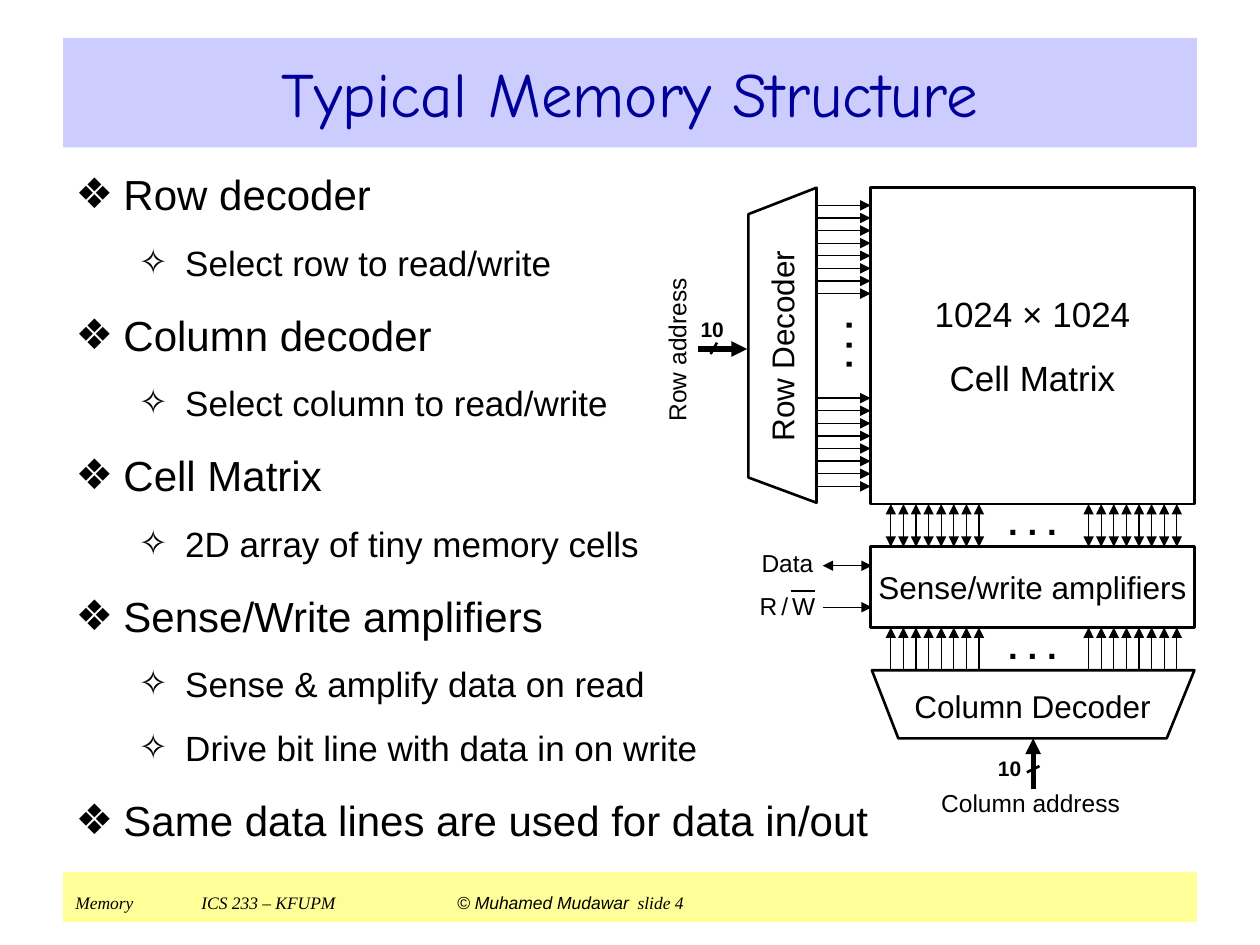
from lxml import etree
from pptx import Presentation
from pptx.dml.color import RGBColor
from pptx.enum.shapes import MSO_CONNECTOR, MSO_SHAPE
from pptx.enum.text import MSO_ANCHOR, MSO_AUTO_SIZE, PP_ALIGN
from pptx.oxml.ns import qn
from pptx.util import Inches, Pt

BLACK = RGBColor(0x00, 0x00, 0x00)
NAVY = RGBColor(0x00, 0x00, 0x99)
LAVENDER = RGBColor(0xCC, 0xCC, 0xFF)
YELLOW = RGBColor(0xFF, 0xFF, 0x99)

prs = Presentation()
prs.slide_width, prs.slide_height = Inches(10), Inches(7.5)
s = prs.slides.add_slide(prs.slide_layouts[1])


def add_line(x1, y1, x2, y2, width=0.75, head=False, tail=False):
    c = s.shapes.add_connector(MSO_CONNECTOR.STRAIGHT, Inches(x1), Inches(y1),
                               Inches(x2), Inches(y2))
    c.line.color.rgb = BLACK
    c.line.width = Pt(width)
    ln = c.line._get_or_add_ln()
    for tag, wanted in (("a:headEnd", head), ("a:tailEnd", tail)):
        if wanted:
            etree.SubElement(ln, qn(tag)).set("type", "triangle")
    etree.SubElement(c._element.spPr, qn("a:effectLst"))


def add_text(box, lines, size, bold=False, rotation=0, outlined=False,
             align=PP_ALIGN.CENTER):
    """Each line is a list of runs; returns the text frame."""
    place = [Inches(v) for v in box]
    if outlined:
        sp = s.shapes.add_shape(MSO_SHAPE.RECTANGLE, *place)
        sp.shadow.inherit = False
        sp.fill.background()
        sp.line.color.rgb = BLACK
        sp.line.width = Pt(1.5)
    else:
        sp = s.shapes.add_textbox(*place)
    sp.rotation = rotation
    tf = sp.text_frame
    tf.word_wrap = True
    tf.vertical_anchor = MSO_ANCHOR.MIDDLE
    tf.margin_left = tf.margin_right = tf.margin_top = tf.margin_bottom = 0
    for i, runs in enumerate(lines):
        p = tf.add_paragraph() if i else tf.paragraphs[0]
        p.alignment = align
        p.space_before = Pt(12.5 if i else 0)
        for text in runs:
            r = p.add_run()
            r.text = text
            r.font.name = "Arial"
            r.font.size = Pt(size)
            r.font.bold = bold
            r.font.color.rgb = BLACK
    return tf


# Title
title = s.shapes.title
title.left, title.top, title.width, title.height = map(Inches, (0.5, 0.3, 9, 0.87))
title.fill.solid()
title.fill.fore_color.rgb = LAVENDER
tf = title.text_frame
tf.auto_size = MSO_AUTO_SIZE.NONE
tf.vertical_anchor = MSO_ANCHOR.MIDDLE
p = tf.paragraphs[0]
p.alignment = PP_ALIGN.CENTER
r = p.add_run()
r.text = "Typical Memory Structure"
r.font.name = "Comic Neue"
r.font.size = Pt(36)
r.font.color.rgb = NAVY

# Bullet list
items = [
    (0, "Row decoder"),
    (1, "Select row to read/write"),
    (0, "Column decoder"),
    (1, "Select column to read/write"),
    (0, "Cell Matrix"),
    (1, "2D array of tiny memory cells"),
    (0, "Sense/Write amplifiers"),
    (1, "Sense & amplify data on read"),
    (1, "Drive bit line with data in on write"),
    (0, "Same data lines are used for data in/out"),
]
# Per level: bullet, left margin, hanging indent, text size, space before
levels = [("❖", 0.38, -0.38, 24, 15), ("✧", 0.87, -0.37, 20, 12.5)]
body = s.placeholders[1]
body.left, body.top, body.width, body.height = map(Inches, (0.5, 1.29, 7.7, 5.61))
tf = body.text_frame
tf.auto_size = MSO_AUTO_SIZE.NONE
for i, (level, text) in enumerate(items):
    bullet, margin, indent, size, space = levels[level]
    p = tf.add_paragraph() if i else tf.paragraphs[0]
    p.level = level
    pPr = p._p.get_or_add_pPr()
    pPr.set("marL", str(Inches(margin)))
    pPr.set("indent", str(Inches(indent)))
    clr = etree.SubElement(pPr, qn("a:buClr"))
    etree.SubElement(clr, qn("a:srgbClr")).set("val", str(BLACK))
    etree.SubElement(pPr, qn("a:buChar")).set("char", bullet)
    p.space_before = Pt(space if i else 0)
    r = p.add_run()
    r.text = text
    r.font.name = "Arial"
    r.font.size = Pt(size)
    r.font.color.rgb = BLACK

# Footer band
footer = s.shapes.add_shape(MSO_SHAPE.RECTANGLE, Inches(0.5), Inches(6.92),
                            Inches(9), Inches(0.4))
footer.shadow.inherit = False
footer.fill.solid()
footer.fill.fore_color.rgb = YELLOW
footer.line.fill.background()
tf = footer.text_frame
tf.word_wrap = True
tf.vertical_anchor = MSO_ANCHOR.TOP
p = tf.paragraphs[0]
p.alignment = PP_ALIGN.LEFT
tabs = etree.SubElement(p._p.get_or_add_pPr(), qn("a:tabLst"))
for pos in (1, 3.03):
    tab = etree.SubElement(tabs, qn("a:tab"))
    tab.set("pos", str(Inches(pos)))
    tab.set("algn", "l")
for text, font, size, italic in (
        ("Memory\tICS 233 – KFUPM\t", "Times New Roman", 10, True),
        ("© Muhamed Mudawar", "Arial", 10, True),
        (" ", "Arial", 18, False),
        ("slide 4", "Times New Roman", 10, True)):
    r = p.add_run()
    r.text = text
    r.font.name = font
    r.font.size = Pt(size)
    r.font.italic = italic
    r.font.color.rgb = BLACK

# Word lines and bit lines, in two groups of eight
for i in range(8):
    for y in (1.63, 3.16):
        add_line(6.47, y + i * 0.1, 6.91, y + i * 0.1, tail=True)
    for x in (7.07, 8.64):
        add_line(x + i * 0.1, 4, x + i * 0.1, 4.34, head=True, tail=True)
        add_line(x + i * 0.1, 4.98, x + i * 0.1, 5.32, head=True)

# Ellipses between the groups
for box, rotation in (((6.28, 2.6, 0.74, 0.28), 270),
                      ((7.8, 4.03, 0.79, 0.21), 0),
                      ((7.8, 5.01, 0.79, 0.22), 0)):
    add_text(box, [[". . ."]], 20, bold=True, rotation=rotation)

# Decoder outlines
for points in ([(6.48, 1.49), (5.94, 1.7), (5.94, 3.79), (6.48, 3.99)],
               [(6.92, 5.32), (7.13, 5.86), (9.26, 5.86), (9.48, 5.32)]):
    corners = [(Inches(x), Inches(y)) for x, y in points]
    fb = s.shapes.build_freeform(*corners[0])
    fb.add_line_segments(corners[1:], close=True)
    sp = fb.convert_to_shape()
    sp.shadow.inherit = False
    sp.fill.background()
    sp.line.color.rgb = BLACK
    sp.line.width = Pt(1.5)

# Block names
add_text((6.91, 1.49, 2.57, 2.51), [["1024 × 1024"], ["Cell Matrix"]], 20, outlined=True)
add_text((6.91, 4.34, 2.57, 0.64), [["Sense/write amplifiers"]], 18, outlined=True)
add_text((4.95, 2.48, 2.51, 0.53), [["Row Decoder"]], 18, rotation=270)
add_text((6.91, 5.33, 2.57, 0.54), [["Column Decoder"]], 18)

# Address inputs with their bus widths
add_text((4.74, 2.66, 1.26, 0.23), [["Row address"]], 14, rotation=270)
add_line(5.54, 2.77, 5.93, 2.77, 3, tail=True)
add_line(5.69, 2.72, 5.64, 2.81, 1.5)
add_text((7.36, 6.26, 1.64, 0.23), [["Column address"]], 14)
add_line(8.2, 6.26, 8.2, 5.86, 3, tail=True)
add_line(8.15, 6.13, 8.25, 6.08, 1.5)
for x, y in ((5.56, 2.52), (7.92, 6.01)):
    add_text((x, y, 0.22, 0.18), [["10"]], 12, bold=True, align=PP_ALIGN.LEFT)

# Data and read/write control
add_text((6.03, 4.35, 0.44, 0.23), [["Data"]], 14)
add_line(6.53, 4.49, 6.92, 4.49, head=True, tail=True)
tf = add_text((5.93, 4.69, 0.64, 0.23), [["R", " ", "/", " ", "W"]], 14)
for r in tf.paragraphs[0].runs[1::2]:
    r.font.size = Pt(8)
add_line(6.28, 4.69, 6.47, 4.69)
add_line(6.53, 4.82, 6.92, 4.82, tail=True)

prs.save("out.pptx")
